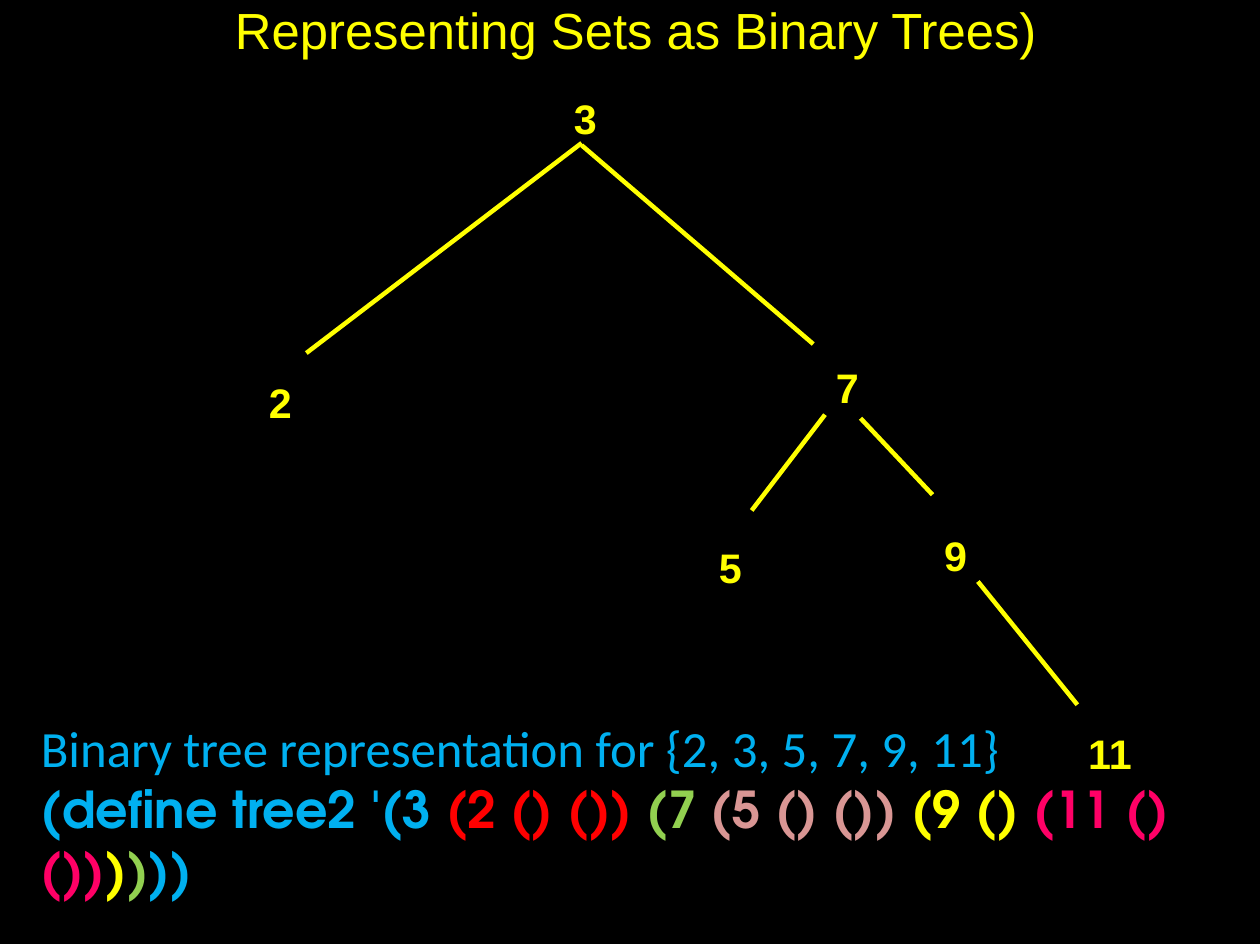
from dataclasses import dataclass

from lxml.etree import SubElement
from pptx import Presentation
from pptx.dml.color import RGBColor
from pptx.enum.shapes import MSO_CONNECTOR
from pptx.enum.text import PP_ALIGN
from pptx.oxml.ns import qn
from pptx.util import Cm, Pt


@dataclass(frozen=True)
class Theme:
    background: str = "000000"
    yellow: str = "FFFF00"
    blue: str = "00B0F0"
    red: str = "FF0000"
    green: str = "92D050"
    rose: str = "D99694"
    pink: str = "FF0066"
    tree_font: str = "Arial"
    caption_font: str = "Calibri"
    code_font: str = "TeX Gyre Adventor"
    large: int = 32
    node: int = 26
    edge_width: float = 2.83


THEME = Theme()

# Tree nodes: value, left, top (cm)
NODES = [
    ("3", 12.76, 2.05),
    ("2", 5.98, 8.36),
    ("7", 18.58, 8.03),
    ("5", 15.98, 12.03),
    ("9", 20.99, 11.76),
    ("11", 24.19, 16.17),
]

# Tree edges: start x, start y, end x, end y (cm)
EDGES = [
    (12.93, 3.18, 6.81, 7.85),
    (12.93, 3.23, 18.08, 7.65),
    (18.34, 9.22, 16.71, 11.35),
    (19.13, 9.3, 20.73, 11),
    (21.74, 12.93, 23.95, 15.67),
]

# One colour for each subtree
CODE = [
    ("(define tree2 '(3 ", THEME.blue),
    ("(2 () ()) ", THEME.red),
    ("(7 ", THEME.green),
    ("(5 () ()) ", THEME.rose),
    ("(9 () ", THEME.yellow),
    ("(11 () ())", THEME.pink),
    (")", THEME.yellow),
    (")", THEME.green),
    ("))", THEME.blue),
]


def add_box(page, left, top, width, height, margin_x=0.0, margin_y=0.03):
    box = page.shapes.add_textbox(Cm(left), Cm(top), Cm(width), Cm(height))
    frame = box.text_frame
    frame.word_wrap = True
    frame.margin_left = frame.margin_right = Cm(margin_x)
    frame.margin_top = frame.margin_bottom = Cm(margin_y)
    return frame


def add_span(para, text, font, size, color, bold=False):
    span = para.add_run()
    span.text = text
    span.font.name = font
    span.font.size = Pt(size)
    span.font.bold = bold
    span.font.color.rgb = RGBColor.from_string(color)


def add_title(page, text):
    para = add_box(page, 0.71, -0.06, 26.87, 3.53).paragraphs[0]
    para.alignment = PP_ALIGN.CENTER
    add_span(para, text, THEME.tree_font, THEME.large, THEME.yellow)


def add_node(page, value, left, top):
    para = add_box(page, left, top, 0.55 * len(value), 1.17).paragraphs[0]
    add_span(para, value, THEME.tree_font, THEME.node, THEME.yellow, bold=True)


def add_edge(page, *ends):
    edge = page.shapes.add_connector(MSO_CONNECTOR.STRAIGHT, *map(Cm, ends))
    edge.line.color.rgb = RGBColor.from_string(THEME.yellow)
    edge.line.width = Pt(THEME.edge_width)
    SubElement(edge._element.spPr, qn("a:effectLst"))


def add_definition(page, caption, code):
    frame = add_box(page, 0.66, 15.8, 27.23, 4.4, margin_x=0.25, margin_y=0.13)
    add_span(frame.paragraphs[0], caption, THEME.caption_font, THEME.large, THEME.blue)
    para = frame.add_paragraph()
    for text, color in code:
        add_span(para, text, THEME.code_font, THEME.large, color, bold=True)


def main():
    deck = Presentation()
    deck.slide_width, deck.slide_height = Cm(28.01), Cm(20.99)
    page = deck.slides.add_slide(deck.slide_layouts[6])
    page.background.fill.solid()
    page.background.fill.fore_color.rgb = RGBColor.from_string(THEME.background)

    # Title
    add_title(page, "Representing Sets as Binary Trees)")

    # Tree
    for edge in EDGES:
        add_edge(page, *edge)
    for node in NODES:
        add_node(page, *node)

    # Caption and list form of the tree
    add_definition(page, "Binary tree representation for {2, 3, 5, 7, 9, 11}", CODE)

    deck.save("out.pptx")


if __name__ == "__main__":
    main()
